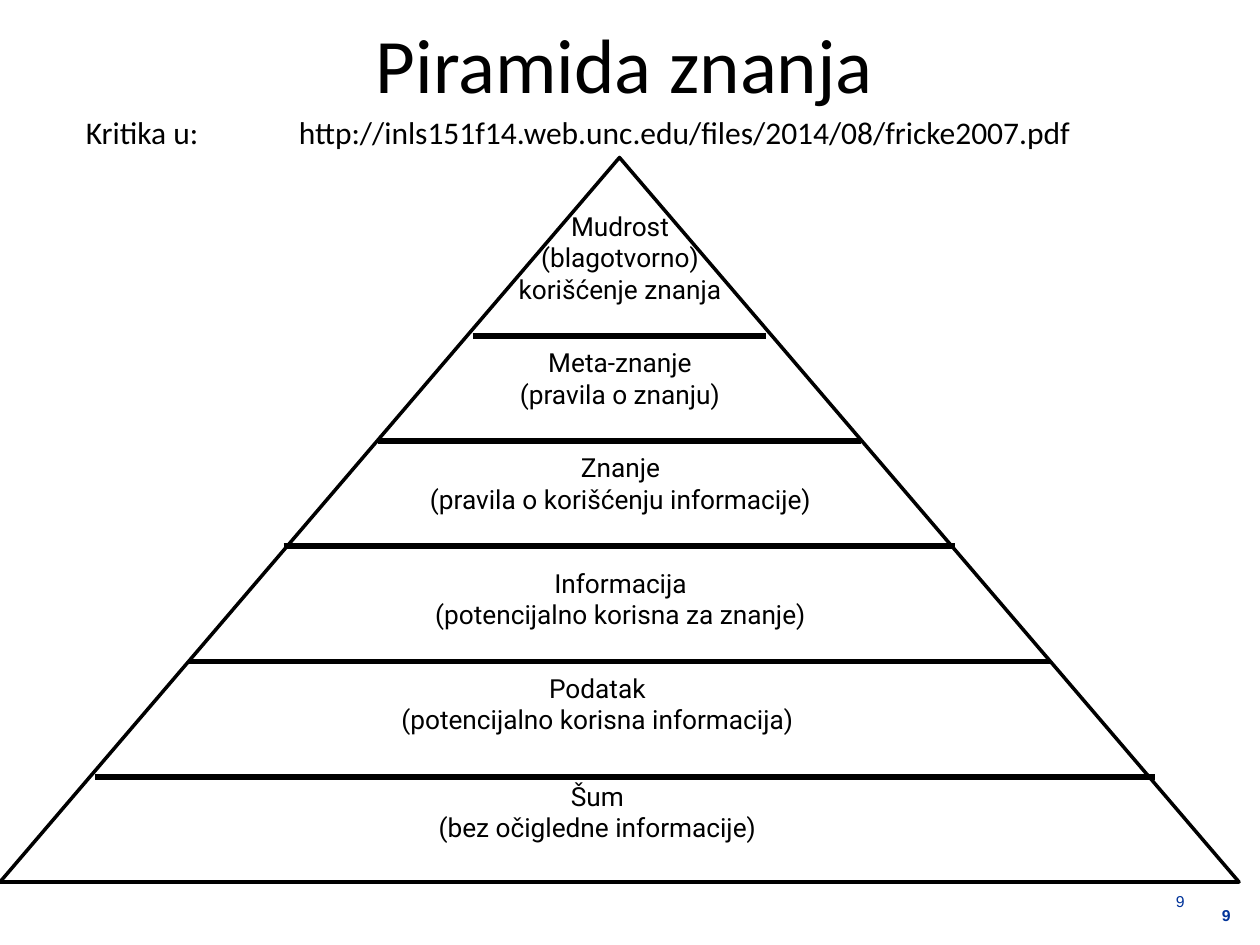
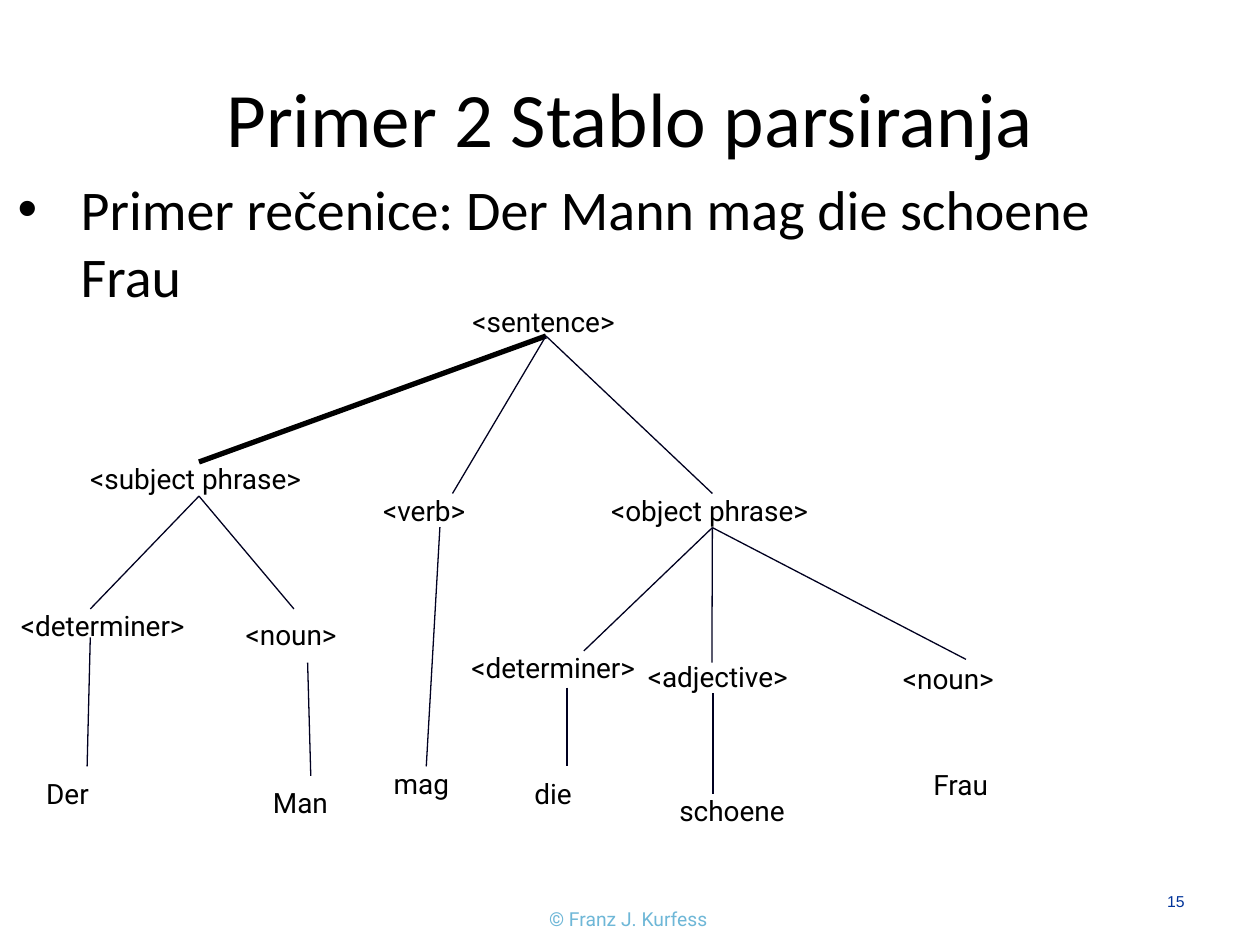
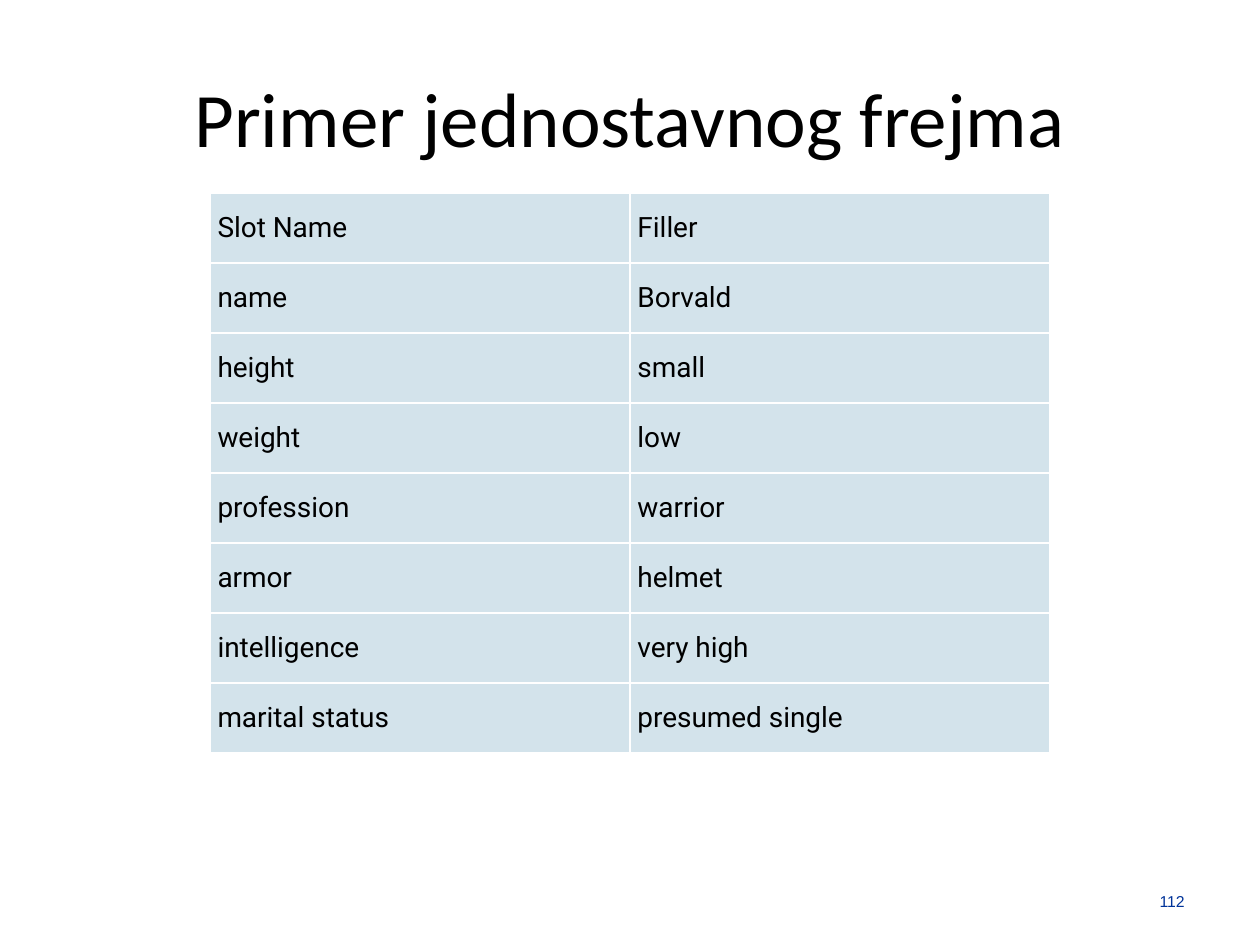
from lxml.etree import SubElement
from pptx import Presentation
from pptx.dml.color import RGBColor
from pptx.enum.shapes import MSO_CONNECTOR as Connector, MSO_SHAPE as Shape
from pptx.enum.text import MSO_ANCHOR as Anchor, MSO_AUTO_SIZE as AutoSize, PP_ALIGN as Align
from pptx.oxml.ns import qn
from pptx.util import Inches, Pt

COLOURS = {
    "text": "000000", "outline": "000000", "branch": "000020",
    "number": "003399", "credit": "6EB7D7", "cell": "D3E3EB", "border": "FFFFFF",
}
STYLES = {
    "title": {"name": "Calibri", "size": Pt(44), "colour": "text", "align": Align.CENTER},
    "body": {"name": "Calibri", "size": Pt(32), "colour": "text", "align": Align.LEFT},
    "source": {"name": "Calibri", "size": Pt(18), "colour": "text", "align": Align.LEFT},
    "number": {"name": "Arial", "size": Pt(9), "colour": "number", "align": Align.RIGHT},
    "corner": {"name": "Arial", "size": Pt(9), "bold": True, "colour": "number", "align": Align.CENTER},
    "level": {"name": "Roboto", "size": Pt(15), "colour": "text", "align": Align.CENTER},
    "node": {"name": "Roboto", "size": Pt(16), "colour": "text", "align": Align.LEFT},
    "credit": {"name": "Roboto", "size": Pt(11), "colour": "credit", "align": Align.CENTER},
}
MIDDLE = {"word_wrap": True, "vertical_anchor": Anchor.MIDDLE}
NO_INSETS = {"margin_left": 0, "margin_top": 0, "margin_right": 0, "margin_bottom": 0}
FITTED = {"word_wrap": False, "auto_size": AutoSize.SHAPE_TO_FIT_TEXT, **NO_INSETS}

deck = Presentation()
deck.slide_width, deck.slide_height = Inches(10), Inches(7.5)
# The slide is a grid of 120 columns and 90 rows of square cells
CELL = deck.slide_width / 120


def write(page, area, text, style, box=None, **frame_formats):
    """Put styled text in a placeholder or a new text box; area is in cells."""
    left, top, width, height = [round(cells * CELL) for cells in area]
    if box is None:
        box = page.shapes.add_textbox(left, top, width, height)
    box.left, box.top, box.width, box.height = left, top, width, height
    frame = box.text_frame
    frame.text = text
    for key, value in frame_formats.items():
        setattr(frame, key, value)
    for para in frame.paragraphs:
        for key, value in STYLES[style].items():
            if key == "align":
                para.alignment = value
            elif key == "colour":
                para.font.color.rgb = RGBColor.from_string(COLOURS[value])
            else:
                setattr(para.font, key, value)
    return box


def add_line(page, begin, end, colour, width):
    points = [round(cells * CELL) for cells in (*begin, *end)]
    line = page.shapes.add_connector(Connector.STRAIGHT, *points)
    line.line.color.rgb = RGBColor.from_string(COLOURS[colour])
    line.line.width = Pt(width)
    SubElement(line._element.spPr, qn("a:effectLst"))
    return line


# What the slides share: layout, title and page number
TITLE_AREA = (6, 3.6, 108, 15)
pages = []
for layout, title, area, number in (
    (5, "Piramida znanja", (5.5, 0, 108, 12), 9),
    (1, "Primer 2 Stablo parsiranja", TITLE_AREA, 15),
    (5, "Primer jednostavnog frejma", TITLE_AREA, 112),
):
    page = deck.slides.add_slide(deck.slide_layouts[layout])
    write(page, area, title, "title", page.shapes.title, auto_size=AutoSize.NONE, **MIDDLE)
    write(page, (86, 83.4, 28, 4.8), str(number), "number", **MIDDLE)
    pages.append(page)
pyramid_page, tree_page, frame_page = pages

# Pyramid of knowledge
pyramid = pyramid_page.shapes.add_shape(
    Shape.ISOSCELES_TRIANGLE, 0, round(15 * CELL), round(118 * CELL), round(69 * CELL))
pyramid.shadow.inherit = False
pyramid.fill.background()
pyramid.line.color.rgb = RGBColor.from_string(COLOURS["outline"])
pyramid.line.width = Pt(2)

for step, (right, row) in enumerate(((110, 74), (100, 63), (91, 52), (82, 42), (73, 32)), 1):
    add_line(pyramid_page, (9 * step, row), (right, row), "outline", 3)

WIDE, NARROW = 44.2, 24.5
for left, top, width, text in (
    (46.8, 20, NARROW, "Mudrost\n(blagotvorno) korišćenje znanja"),
    (46.8, 33, NARROW, "Meta-znanje\n(pravila o znanju)"),
    (37, 43, WIDE, "Znanje\n(pravila o korišćenju informacije)"),
    (37, 54, WIDE, "Informacija\n(potencijalno korisna za znanje)"),
    (34.8, 64, WIDE, "Podatak\n(potencijalno korisna informacija)"),
    (34.8, 74.3, WIDE, "Šum\n(bez očigledne informacije)"),
):
    write(pyramid_page, (left, top, width, 8), text, "level", word_wrap=True, **NO_INSETS)

write(pyramid_page, (115.2, 85.7, 2.9, 2.6), "9", "corner", word_wrap=False)
source = write(pyramid_page, (7, 10.2, 109.5, 4.8),
               "Kritika u:\thttp://inls151f14.web.unc.edu/files/2014/08/fricke2007.pdf",
               "source", word_wrap=True)
tabs = SubElement(source.text_frame.paragraphs[0]._p.get_or_add_pPr(), qn("a:tabLst"))
SubElement(tabs, qn("a:tab"), pos=str(Inches(1.69)), algn="l")

# Parse tree
body = write(tree_page, (0, 16, 108, 64.4), "Primer rečenice: Der Mann mag die schoene Frau",
             "body", tree_page.placeholders[1], auto_size=AutoSize.NONE)
indents = body.text_frame.paragraphs[0]._p.get_or_add_pPr()
indents.set("marL", str(Inches(0.54)))
indents.set("indent", str(Inches(-0.5)))
write(tree_page, (40.3, 86, 39.1, 3.1), "© Franz J. Kurfess", "credit",
      **MIDDLE, **dict.fromkeys(NO_INSETS, Inches(0.04)))

nodes = {}
for left, top, width, text in (
    (45, 29, 21.1, "<sentence>"),
    (8.6, 44, 20.7, "<subject phrase>"),
    (36.5, 47, 13.2, "<verb>"),
    (58.2, 47, 19.3, "<object phrase>"),
    (2, 58, 16.1, "<determiner>"),
    (23.4, 58.8, 13.2, "<noun>"),
    (44.9, 62, 16.1, "<determiner>"),
    (61.7, 62.8, 13.8, "<adjective>"),
    (86, 63, 13.2, "<noun>"),
    (4.4, 74, 4.3, "Der"),
    (26, 74.8, 5.3, "Man"),
    (37.5, 73, 6, "mag"),
    (50.9, 74, 3.6, "die"),
    (64.7, 75.6, 10.2, "schoene"),
    (88.9, 73.1, 5.5, "Frau"),
):
    nodes[text] = write(tree_page, (left, top, width, 3.25), text, "node", **FITTED)

# A named end joins that node: branches leave at the bottom and arrive at the top
TOP, BOTTOM = 0, 2
ROOT = (52, 32)
for begin, end, colour, width in (
    (ROOT, "<subject phrase>", "outline", 3),
    (ROOT, "<verb>", "branch", 0.75),
    (ROOT, "<object phrase>", "branch", 0.75),
    ("<subject phrase>", (8.6, 58), "branch", 0.75),
    ("<subject phrase>", (28, 58), "branch", 0.75),
    ("<object phrase>", (55.6, 62), "branch", 0.75),
    ("<object phrase>", (67.8, 63.1), "branch", 0.75),
    ("<object phrase>", (92, 62.8), "branch", 0.75),
    ((8.6, 60.7), (8.3, 73), "branch", 0.75),
    ((29.3, 63.1), (29.6, 73.9), "branch", 0.75),
    ((41.9, 50.2), (40.6, 73), "branch", 0.75),
    ((54, 65.5), (54, 73), "branch", 0.75),
    ((67.9, 66), (67.9, 75.6), "branch", 0.75),
):
    branch = add_line(tree_page, ROOT if begin in nodes else begin,
                      ROOT if end in nodes else end, colour, width)
    if begin in nodes:
        branch.begin_connect(nodes[begin], BOTTOM)
    if end in nodes:
        branch.end_connect(nodes[end], TOP)

# Frame with slots and fillers
SLOTS = (
    ("Slot Name", "Filler"),
    ("name", "Borvald"),
    ("height", "small"),
    ("weight", "low"),
    ("profession", "warrior"),
    ("armor", "helmet"),
    ("intelligence", "very high"),
    ("marital status", "presumed single"),
)
table = frame_page.shapes.add_table(
    len(SLOTS), 2, round(20 * CELL), round(18.4 * CELL),
    round(80 * CELL), round(53.33 * CELL)).table
table.first_row = table.horz_banding = False
node_style = STYLES["node"]
for row, slot in enumerate(SLOTS):
    for column, text in enumerate(slot):
        cell = table.cell(row, column)
        cell.text = text
        cell.vertical_anchor = Anchor.MIDDLE
        for side in NO_INSETS:
            setattr(cell, side, Inches(0.06))
        font = cell.text_frame.paragraphs[0].font
        font.name, font.size = node_style["name"], node_style["size"]
        font.color.rgb = RGBColor.from_string(COLOURS["text"])
        for edge in ("a:lnL", "a:lnR", "a:lnT", "a:lnB"):
            border = SubElement(cell._tc.get_or_add_tcPr(), qn(edge), w=str(Pt(1)))
            paint = SubElement(border, qn("a:solidFill"))
            SubElement(paint, qn("a:srgbClr"), val=COLOURS["border"])
        cell.fill.solid()
        cell.fill.fore_color.rgb = RGBColor.from_string(COLOURS["cell"])

deck.save("out.pptx")
